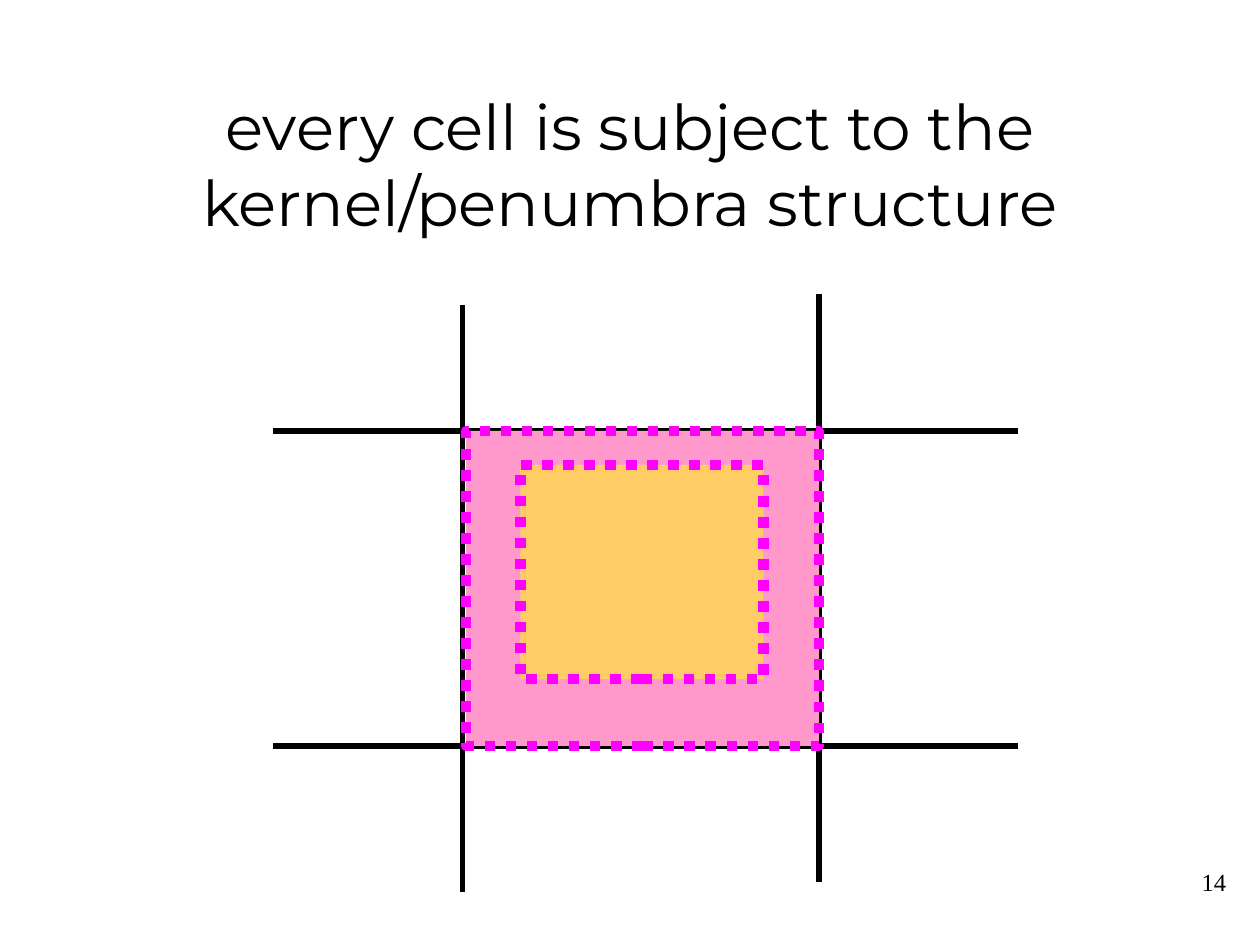
from pptx import Presentation
from pptx.dml.color import RGBColor
from pptx.enum.dml import MSO_LINE
from pptx.enum.shapes import MSO_CONNECTOR, MSO_SHAPE
from pptx.enum.text import MSO_ANCHOR, PP_ALIGN
from pptx.oxml.ns import qn
from pptx.util import Inches, Pt
from lxml import etree

STRAIGHT = MSO_CONNECTOR.STRAIGHT
RECTANGLE = MSO_SHAPE.RECTANGLE
DOTTED = MSO_LINE.ROUND_DOT
TOP, MIDDLE = MSO_ANCHOR.TOP, MSO_ANCHOR.MIDDLE
CENTER, RIGHT = PP_ALIGN.CENTER, PP_ALIGN.RIGHT
TITLE_ONLY = 5

COLORS = {
    "ink": "000000",
    "border": "FF00FF",
    "penumbra": "FF99CC",
    "kernel": "FFFF00",
}


def write_text(shape, text, font, size, align, anchor=TOP):
    frame = shape.text_frame
    frame.word_wrap = True
    frame.vertical_anchor = anchor
    paragraph = frame.paragraphs[0]
    paragraph.alignment = align
    run = paragraph.add_run()
    run.text = text
    run.font.name = font
    run.font.size = Pt(size)
    run.font.color.rgb = RGBColor.from_string(COLORS["ink"])


class SlideBuilder:
    """Hold the style and the current slide, and add its elements."""

    title_font = "Montserrat"
    number_font = "Times New Roman"
    grid_width = 3
    border_width = 6

    def __init__(self, slide):
        self.slide = slide

    def title(self, text, left, top, width, height):
        shape = self.slide.shapes.title
        shape.left, shape.top = Inches(left), Inches(top)
        shape.width, shape.height = Inches(width), Inches(height)
        write_text(shape, text, font=self.title_font, size=36,
                   align=CENTER, anchor=MIDDLE)

    def grid_line(self, x1, y1, x2, y2):
        connector = self.slide.shapes.add_connector(
            STRAIGHT, Inches(x1), Inches(y1), Inches(x2), Inches(y2))
        connector.line.color.rgb = RGBColor.from_string(COLORS["ink"])
        connector.line.width = Pt(self.grid_width)
        etree.SubElement(connector._element.spPr, qn("a:effectLst"))

    def group(self):
        return self.slide.shapes.add_group_shape()

    def region(self, group, color, left, top, width, height, opacity=100):
        shape = group.shapes.add_shape(
            RECTANGLE, Inches(left), Inches(top), Inches(width), Inches(height))
        shape.shadow.inherit = False
        shape.fill.solid()
        shape.fill.fore_color.rgb = RGBColor.from_string(COLORS[color])
        if opacity < 100:
            fill_color = shape._element.spPr.find(qn("a:solidFill"))[0]
            etree.SubElement(fill_color, qn("a:alpha"), val=str(opacity * 1000))
        shape.line.color.rgb = RGBColor.from_string(COLORS["border"])
        shape.line.width = Pt(self.border_width)
        shape.line.dash_style = DOTTED

    def page_number(self, text, left, top, width, height):
        box = self.slide.shapes.add_textbox(
            Inches(left), Inches(top), Inches(width), Inches(height))
        write_text(box, text, font=self.number_font, size=14, align=RIGHT)


def main():
    presentation = Presentation()
    presentation.slide_width = Inches(10)
    presentation.slide_height = Inches(7.5)
    layout = presentation.slide_layouts[TITLE_ONLY]
    builder = SlideBuilder(presentation.slides.add_slide(layout))

    builder.title("every cell is subject to the kernel/penumbra structure",
                  0.75, 0.67, 8.5, 1.25)
    for y in (3.42, 5.92):
        builder.grid_line(2.17, y, 8.08, y)
    for x, top, bottom in ((3.67, 2.42, 7.08), (6.5, 2.33, 7)):
        builder.grid_line(x, top, x, bottom)
    cell = builder.group()
    builder.region(cell, "penumbra", 3.7, 3.42, 2.8, 2.5)
    builder.region(cell, "kernel", 4.13, 3.69, 1.93, 1.7, opacity=50)
    builder.page_number("14", 7.75, 6.83, 2.08, 0.5)

    presentation.save("out.pptx")


if __name__ == "__main__":
    main()
